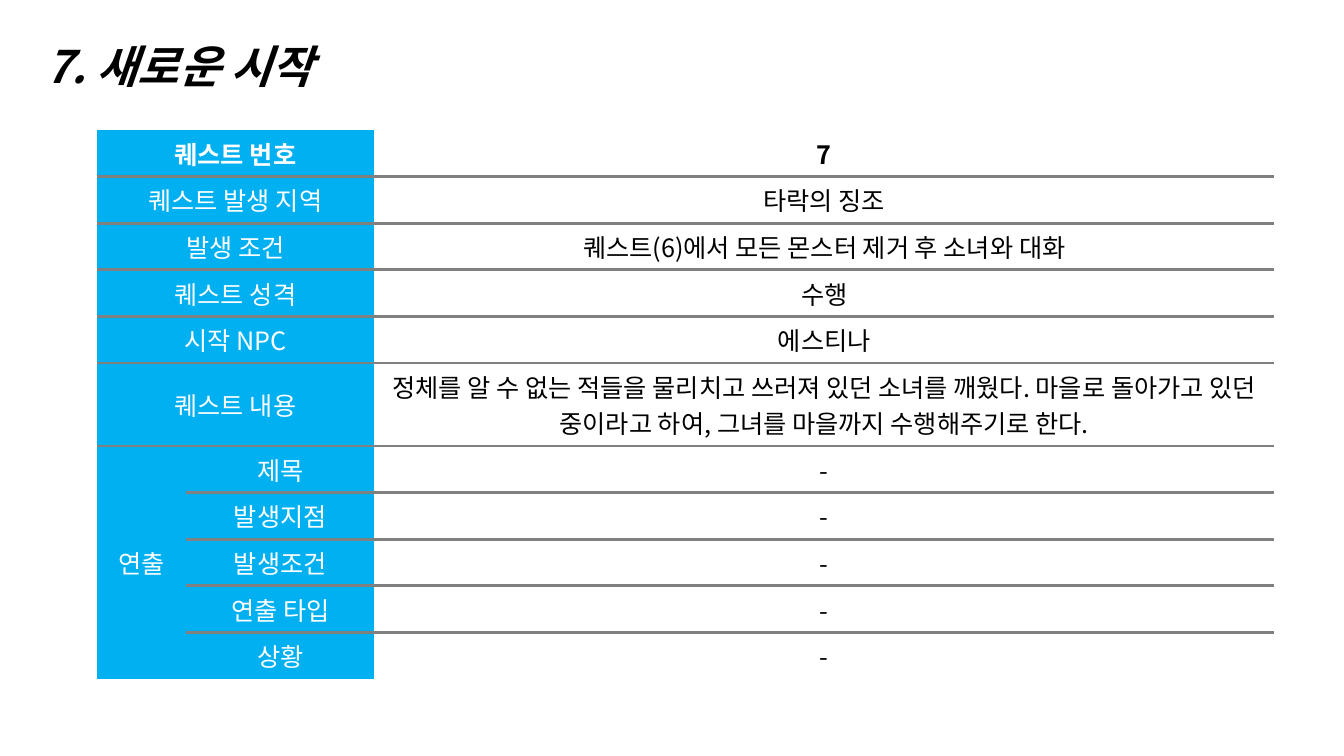
from lxml import etree
from pptx import Presentation
from pptx import util as u
from pptx.dml import color
from pptx.enum import text
from pptx.oxml import ns

NO_GRID = "{2D5ABB26-0587-4C30-8999-92F81FD0307C}"

QUEST = [
    ("퀘스트 번호", "7"),
    ("퀘스트 발생 지역", "타락의 징조"),
    ("발생 조건", "퀘스트(6)에서 모든 몬스터 제거 후 소녀와 대화"),
    ("퀘스트 성격", "수행"),
    ("시작 NPC", "에스티나"),
    ("퀘스트 내용", "정체를 알 수 없는 적들을 물리치고 쓰러져 있던 소녀를 깨웠다. "
                "마을로 돌아가고 있던 중이라고 하여, 그녀를 마을까지 수행해주기로 한다."),
]
SCENE = ["제목", "발생지점", "발생조건", "연출 타입", "상황"]


def rgb(code):
    return color.RGBColor.from_string(code)


class Deck:
    face = "Noto Sans CJK KR"
    blue, grey, white, black = "01B0F0", "808080", "FFFFFF", "000000"

    def __init__(self, show):
        self.slide = show.slides.add_slide(show.slide_layouts[5])

    def style(self, para, size, ink, bold=False, slant=False):
        font = para.font
        font.size, font.bold, font.italic = u.Pt(size), bold, slant
        font.name = self.face
        font.color.rgb = rgb(ink)
        asian = etree.SubElement(font._element, ns.qn("a:ea"))
        asian.set("typeface", self.face)

    def title(self, words, left, top, width, height):
        box = self.slide.shapes.title
        box.left, box.top = u.Inches(left), u.Inches(top)
        box.width, box.height = u.Inches(width), u.Inches(height)
        frame = box.text_frame
        frame.text = words
        frame.word_wrap = False
        frame.auto_size = text.MSO_AUTO_SIZE.NONE
        frame.vertical_anchor = text.MSO_ANCHOR.MIDDLE
        para = frame.paragraphs[0]
        para.alignment = text.PP_ALIGN.LEFT
        self.style(para, 32, self.black, bold=True, slant=True)

    def rule(self, cell, side):
        """Draw a grey line on one side of a cell: lnT or lnB."""
        line = etree.SubElement(cell._tc.get_or_add_tcPr(), ns.qn("a:" + side))
        line.set("w", str(u.Pt(2.25)))
        fill = etree.SubElement(line, ns.qn("a:solidFill"))
        etree.SubElement(fill, ns.qn("a:srgbClr")).set("val", self.grey)

    def label(self, cell, words, ink, bold):
        cell.text = words
        cell.vertical_anchor = text.MSO_ANCHOR.MIDDLE
        para = cell.text_frame.paragraphs[0]
        para.alignment = text.PP_ALIGN.CENTER
        self.style(para, 18, ink, bold)

    def table(self, rows, left, top, widths, heights):
        frame = self.slide.shapes.add_table(
            len(rows), len(widths), u.Inches(left), u.Inches(top),
            u.Inches(sum(widths)), u.Inches(sum(heights)))
        grid = frame.table
        grid.first_row = grid.horz_banding = False
        grid._tbl.tblPr.find(ns.qn("a:tableStyleId")).text = NO_GRID
        for col, width in zip(grid.columns, widths):
            col.width = u.Inches(width)
        for row, height in zip(grid.rows, heights):
            row.height = u.Inches(height)

        first, last = len(QUEST), len(rows) - 1
        for r, row in enumerate(rows):
            for c, words in enumerate(row):
                cell = grid.cell(r, c)
                joined = c == 0 and r >= first
                if r > 0 and not (joined and r > first):
                    self.rule(cell, "lnT")
                if r < last and not joined:
                    self.rule(cell, "lnB")
                if c < 2:
                    cell.fill.solid()
                    cell.fill.fore_color.rgb = rgb(self.blue)
                else:
                    cell.fill.background()
                self.label(cell, words, self.white if c < 2 else self.black, r == 0)
        for r in range(first):
            grid.cell(r, 0).merge(grid.cell(r, 1))
        grid.cell(first, 0).merge(grid.cell(last, 0))


def main():
    show = Presentation()
    show.slide_width, show.slide_height = u.Inches(13.33), u.Inches(7.5)
    deck = Deck(show)
    deck.title("7. 새로운 시작", 0.35, 0.33, 3.14, 0.64)

    rows = [(name, "", value) for name, value in QUEST]
    rows += [("" if i else "연출", name, "-") for i, name in enumerate(SCENE)]
    tall = 0.79
    low = (5.36 - tall) / (len(rows) - 1)
    heights = [low] * len(rows)
    heights[len(QUEST) - 1] = tall
    deck.table(rows, 0.96, 1.29, [0.89, 1.86, 8.93], heights)
    show.save("out.pptx")


if __name__ == "__main__":
    main()
